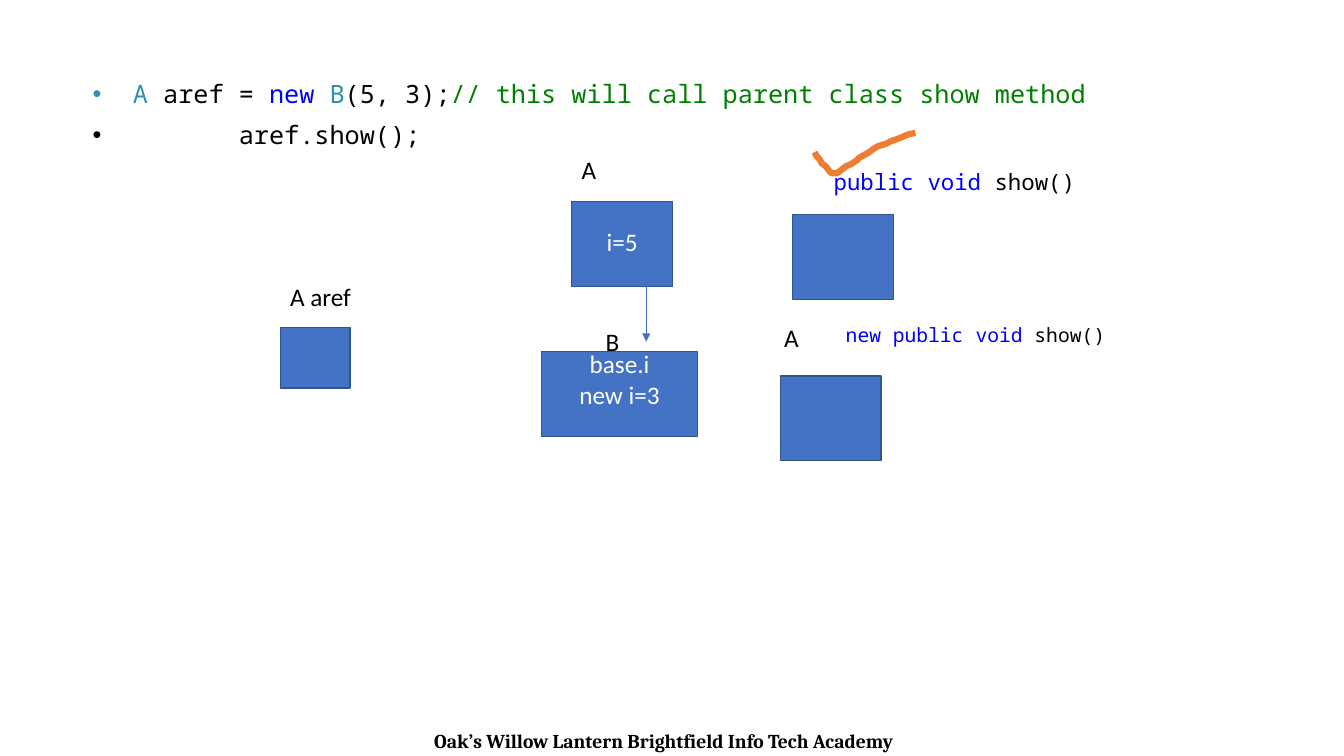
from pptx import Presentation, util as u
from pptx.dml import color
from pptx.enum import shapes, text
from pptx.oxml import ns
from lxml import etree

MONO, SANS, SERIF = "Noto Sans Mono", "Calibri", "Cambria"
BLACK, WHITE, KEY, TYPE, NOTE = "000000", "FFFFFF", "0000FF", "2B91AF", "008000"
BLUE, EDGE, MARK = "4472C4", "325491", "ED7D31"


def rgb(code):
    """Turn a hex string into a colour."""
    return color.RGBColor.from_string(code)


def sub(node, tag, **attrs):
    """Append a DrawingML child element."""
    return etree.SubElement(node, ns.qn("a:" + tag), attrs)


def write(frame, lines, size=18, font=SANS, ink=BLACK, bold=False, align="LEFT"):
    """Fill a frame; each line is a string or a list of (text, colour) runs."""
    for i, line in enumerate(lines):
        para = frame.paragraphs[0] if i == 0 else frame.add_paragraph()
        para.alignment = getattr(text.PP_ALIGN, align)
        for words, tint in [(line, ink)] if isinstance(line, str) else line:
            run = para.add_run()
            run.text = words
            run.font.size, run.font.name = u.Pt(size), font
            run.font.bold = bold
            run.font.color.rgb = rgb(tint)


def bullet(para, gap):
    """Give a paragraph a bullet and set its text off by gap inches."""
    para.line_spacing, para.space_before = 0.9, u.Pt(10)
    props = para._p.get_or_add_pPr()
    props.set("marL", str(u.Inches(gap)))
    props.set("indent", str(-u.Inches(gap)))
    sub(props, "buFont", typeface="Arial")
    sub(props, "buChar", char="•")


class Deck:
    """Holds the style and the current slide."""

    def __init__(self):
        """Open a wide deck with one blank slide."""
        self.prs = Presentation()
        self.prs.slide_width, self.prs.slide_height = u.Inches(13.33), u.Inches(7.5)
        self.slide = self.prs.slides.add_slide(self.prs.slide_layouts[6])
        self.items = self.slide.shapes

    def label(self, x, y, w, h, lines, **style):
        """Add a text box and return its frame."""
        frame = self.items.add_textbox(*map(u.Inches, (x, y, w, h))).text_frame
        frame.word_wrap = True
        write(frame, lines, **style)
        return frame

    def box(self, x, y, w=1, h=0.84, lines=(), foot=0.05):
        """Add a blue box with centred text, raised by a foot margin."""
        rect = self.items.add_shape(shapes.MSO_SHAPE.RECTANGLE,
                                    *map(u.Inches, (x, y, w, h)))
        rect.shadow.inherit = False
        rect.fill.solid()
        rect.fill.fore_color.rgb = rgb(BLUE)
        self.stroke(rect.line, EDGE, 1)
        frame = rect.text_frame
        frame.vertical_anchor = text.MSO_ANCHOR.MIDDLE
        frame.margin_top, frame.margin_bottom = 0, u.Inches(foot)
        write(frame, lines, ink=WHITE, align="CENTER")

    def stroke(self, line, tint, width):
        """Set the colour and width of a line."""
        line.color.rgb, line.width = rgb(tint), u.Pt(width)

    def arrow(self, x1, y1, x2, y2):
        """Add a thin arrow."""
        link = self.items.add_connector(shapes.MSO_CONNECTOR.STRAIGHT,
                                        *map(u.Inches, (x1, y1, x2, y2)))
        self.stroke(link.line, BLUE, 0.5)
        sub(link.line._get_or_add_ln(), "tailEnd", type="triangle")
        sub(link._element.spPr, "effectLst")

    def sketch(self, points):
        """Add an open hand-drawn stroke."""
        start, *rest = [tuple(map(u.Inches, p)) for p in points]
        pen = self.items.build_freeform(*start)
        pen.add_line_segments(rest, close=False)
        path = pen.convert_to_shape()
        path.shadow.inherit = False
        path.fill.background()
        self.stroke(path.line, MARK, 4.5)


deck = Deck()
deck.label(-0.08, 7.18, 13.33, 0.34, ["Oak’s Willow Lantern Brightfield Info Tech Academy"],
           size=14, font=SERIF, bold=True, align="CENTER")

code = deck.label(0.82, 0.76, 11.6, 0.79, [
    [("A", TYPE), (" aref = ", BLACK), ("new", KEY), (" ", BLACK), ("B", TYPE),
     ("(5, 3);", BLACK), ("// this will call parent class show method", NOTE)],
    "aref.show();"], font=MONO)
for para, gap in zip(code.paragraphs, (0.4, 1.45)):
    bullet(para, gap)

deck.box(5.67, 2, lines=["i=5"])
deck.box(2.78, 3.25, 0.69, 0.6)
deck.box(7.86, 2.13)
deck.box(7.74, 3.73)
deck.box(5.37, 3.49, 1.55, lines=["base.i", "new i=3"], foot=0.3)

for x, y, name in [(5.67, 1.48, "A"), (7.68, 3.15, "A"),
                   (5.91, 3.19, "B"), (2.78, 2.74, "A aref")]:
    deck.label(x, y, 0.86, 0.4, [name])

for x, y, w, h, words, size in [(8.17, 1.62, 2.89, 0.37, "public", 16),
                                (8.29, 3.15, 3.27, 0.34, "new public", 14)]:
    deck.label(x, y, w, h, [[(words, KEY), (" ", BLACK), ("void", KEY),
                             (" show()", BLACK)]], size=size, font=MONO)

deck.arrow(6.41, 2.84, 6.41, 3.39)
deck.sketch([(8.08, 1.51), (8.1, 1.55), (8.13, 1.58), (8.15, 1.62), (8.19, 1.65),
             (8.22, 1.69), (8.25, 1.72), (8.3, 1.72), (8.34, 1.69), (8.39, 1.65),
             (8.44, 1.63), (8.5, 1.59), (8.53, 1.56), (8.57, 1.54), (8.62, 1.51),
             (8.66, 1.48), (8.71, 1.45), (8.78, 1.43), (8.84, 1.4), (8.9, 1.38),
             (8.97, 1.35), (9.02, 1.33), (9.08, 1.32)])
deck.prs.save("out.pptx")
